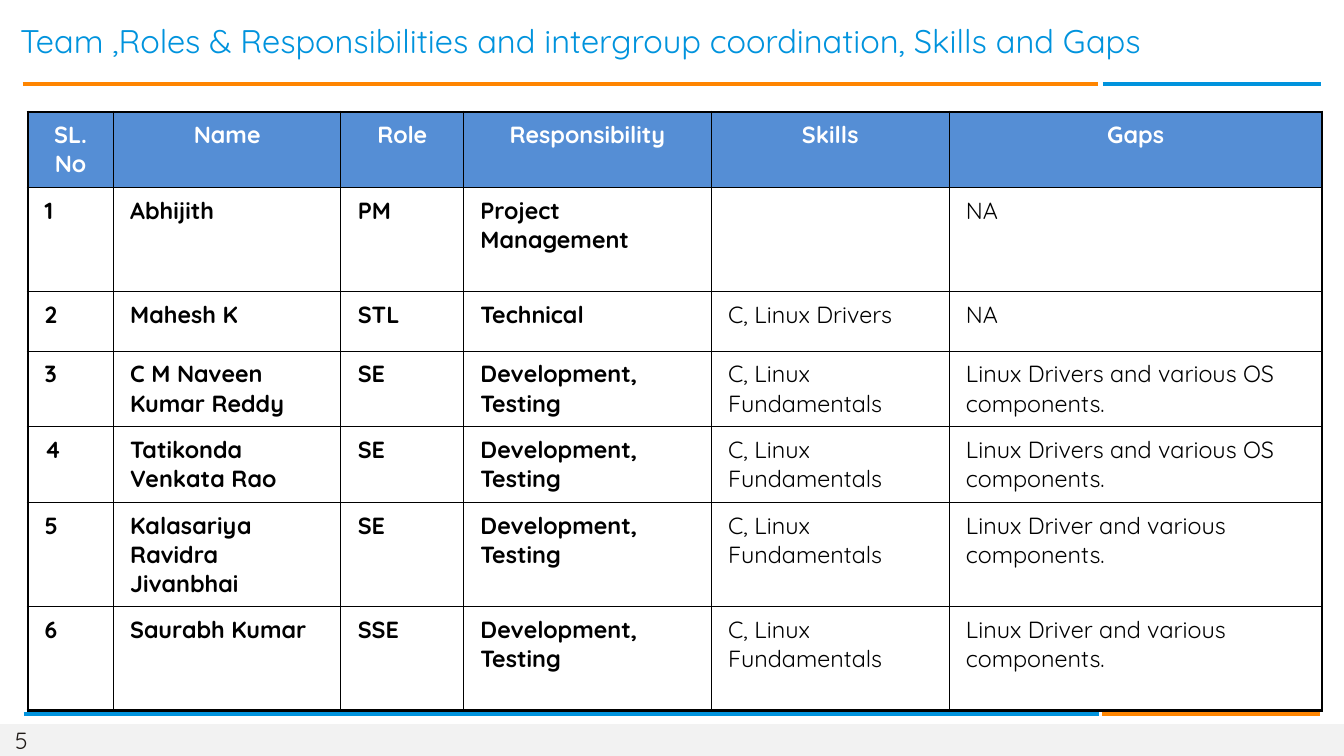
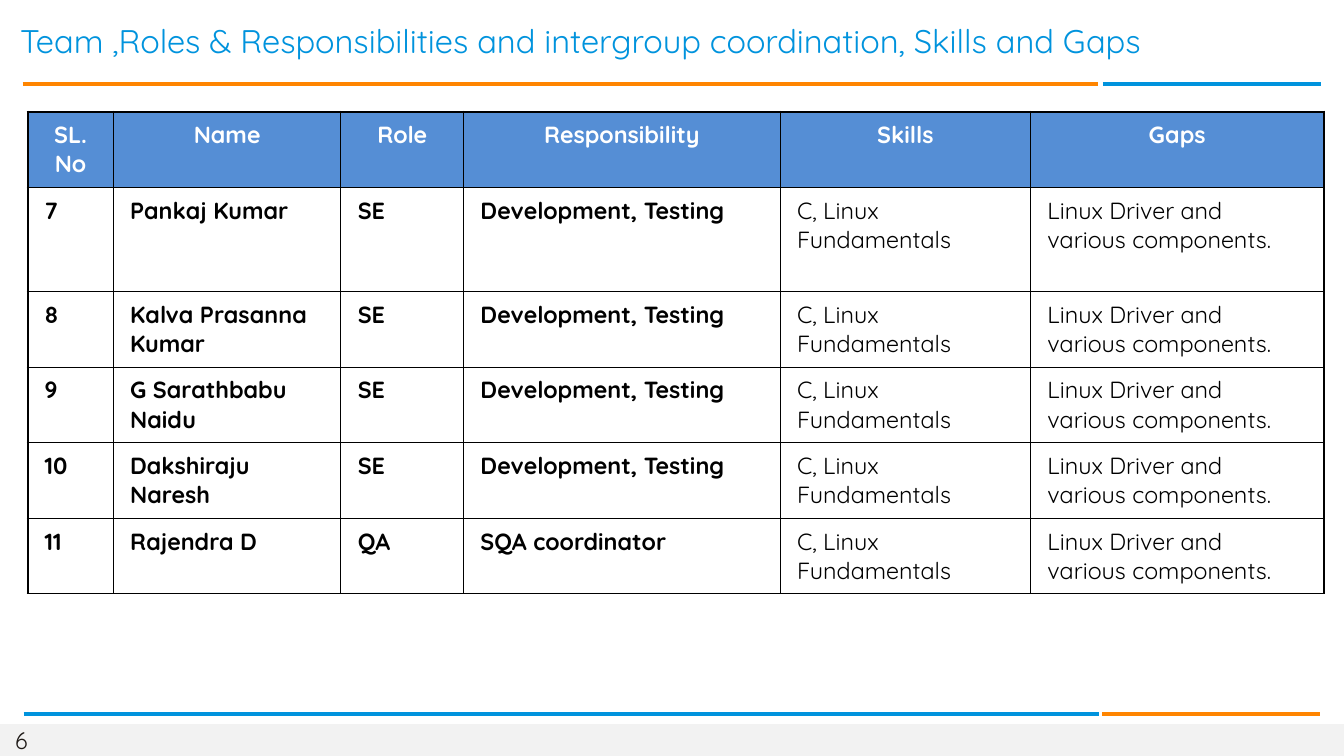
from dataclasses import dataclass

from lxml import etree
from pptx import Presentation
from pptx.dml.color import RGBColor
from pptx.enum.shapes import MSO_CONNECTOR, MSO_SHAPE
from pptx.enum.text import MSO_ANCHOR, PP_ALIGN
from pptx.oxml.ns import qn
from pptx.util import Inches, Pt

LINE = MSO_CONNECTOR.STRAIGHT
RECT = MSO_SHAPE.RECTANGLE
MIDDLE = MSO_ANCHOR.MIDDLE
LEFT, CENTER = PP_ALIGN.LEFT, PP_ALIGN.CENTER

# Shared style
FONT = "Quicksand"
BLUE, ORANGE, HEADER_BLUE = "0093DD", "FF8500", "558ED5"
BLACK, WHITE, INK, FOOTER_GREY = "000000", "FFFFFF", "1F1A17", "F2F2F2"
BODY_SIZE, TITLE_SIZE = 20, 28
THIN, THICK = 1, 2.25
TITLE = "Team ,Roles & Responsibilities and intergroup coordination, Skills and Gaps"
HEADERS = ("SL. No", "Name", "Role", "Responsibility", "Skills", "Gaps")
BOLD_COLUMNS = 4

# Row heights by the number of text lines
ONE_LINE, TWO_LINES, THREE_LINES = 0.71, 0.9, 1.24

# Repeated cell texts
DEV = "Development, Testing"
BASICS = "C, Linux Fundamentals"
OS_GAPS = "Linux Drivers and various OS components."
DRIVER_GAPS = "Linux Driver and various components."


@dataclass
class Rule:
    x1: float
    x2: float
    y: float
    color: str


@dataclass
class Member:
    name: str
    role: str
    responsibility: str
    skills: str
    gaps: str
    height: float = TWO_LINES


@dataclass
class TeamSlide:
    number: int
    first_no: int
    columns: tuple[float, ...]
    members: list[Member]
    bottom_border: float


RULES = (
    Rule(0.27, 13.07, 1, ORANGE),
    Rule(13.13, 15.73, 1, BLUE),
    Rule(0.28, 13.08, 8.5, BLUE),
    Rule(13.12, 15.72, 8.5, ORANGE),
)

SLIDES = (
    TeamSlide(5, 1, (1.02, 2.71, 1.46, 2.95, 2.83, 4.44), [
        Member("Abhijith", "PM", "Project Management", "", "NA", THREE_LINES),
        Member("Mahesh K", "STL", "Technical", "C, Linux Drivers", "NA", ONE_LINE),
        Member("C M Naveen Kumar Reddy", "SE", DEV, BASICS, OS_GAPS),
        Member("Tatikonda Venkata Rao", "SE", DEV, BASICS, OS_GAPS),
        Member("Kalasariya Ravidra Jivanbhai", "SE", DEV, BASICS, DRIVER_GAPS, THREE_LINES),
        Member("Saurabh Kumar", "SSE", DEV, BASICS, DRIVER_GAPS, THREE_LINES),
    ], THICK),
    TeamSlide(6, 7, (1.02, 2.71, 1.46, 3.77, 2.98, 3.49), [
        Member("Pankaj Kumar", "SE", DEV, BASICS, DRIVER_GAPS, THREE_LINES),
        Member("Kalva Prasanna Kumar", "SE", DEV, BASICS, DRIVER_GAPS),
        Member("G Sarathbabu Naidu", "SE", DEV, BASICS, DRIVER_GAPS),
        Member("Dakshiraju Naresh", "SE", DEV, BASICS, DRIVER_GAPS),
        Member("Rajendra D", "QA", "SQA coordinator", BASICS, DRIVER_GAPS),
    ], THIN),
)


def rgb(color: str) -> RGBColor:
    return RGBColor.from_string(color)


def add_run(p, text: str, size: float, color: str, bold: bool = False) -> None:
    r = p.add_run()
    r.text = text
    r.font.name = FONT
    r.font.size = Pt(size)
    r.font.bold = bold
    r.font.color.rgb = rgb(color)


def add_text(s, box: tuple[float, ...], text: str, size: float, color: str,
             inset_x: float = 0, inset_y: float = 0, wrap: bool = True) -> None:
    tf = s.shapes.add_textbox(*map(Inches, box)).text_frame
    tf.word_wrap = wrap
    tf.vertical_anchor = MIDDLE
    tf.margin_left = tf.margin_right = Inches(inset_x)
    tf.margin_top = tf.margin_bottom = Inches(inset_y)
    add_run(tf.paragraphs[0], text, size, color)


def add_rule(s, rule: Rule) -> None:
    y = Inches(rule.y)
    line = s.shapes.add_connector(LINE, Inches(rule.x1), y, Inches(rule.x2), y)
    line.line.color.rgb = rgb(rule.color)
    line.line.width = Pt(3)
    etree.SubElement(line.element.spPr, qn("a:effectLst"))


def add_frame(s, number: int) -> None:
    # Footer band and slide number
    band = s.shapes.add_shape(RECT, 0, Inches(8.62), Inches(16), Inches(0.38))
    band.shadow.inherit = False
    band.fill.solid()
    band.fill.fore_color.rgb = rgb(FOOTER_GREY)
    band.line.fill.background()
    add_text(s, (0.18, 8.64, 0.34, 0.34), str(number), BODY_SIZE, INK, wrap=False)

    # Two-colour rules and title
    for rule in RULES:
        add_rule(s, rule)
    add_text(s, (0.17, 0.13, 15.67, 0.7), TITLE, TITLE_SIZE, BLUE, 0.07, 0.04)


def set_borders(cell, widths: dict[str, float]) -> None:
    tc_pr = cell._tc.get_or_add_tcPr()
    for side, width in widths.items():
        ln = etree.SubElement(tc_pr, qn(f"a:ln{side}"), w=str(Pt(width)))
        fill = etree.SubElement(ln, qn("a:solidFill"))
        etree.SubElement(fill, qn("a:srgbClr"), val=BLACK)


def fill_cell(cell, text: str, header: bool, bold: bool) -> None:
    cell.margin_left = cell.margin_right = Inches(0.2)
    cell.margin_top = cell.margin_bottom = Inches(0.1)
    if header:
        cell.fill.solid()
        cell.fill.fore_color.rgb = rgb(HEADER_BLUE)
    else:
        cell.fill.background()
    p = cell.text_frame.paragraphs[0]
    p.alignment = CENTER if header else LEFT
    if text:
        add_run(p, text, BODY_SIZE, WHITE if header else BLACK, bold)


def add_team_table(s, team: TeamSlide) -> None:
    rows = [HEADERS] + [
        (str(no), m.name, m.role, m.responsibility, m.skills, m.gaps)
        for no, m in enumerate(team.members, team.first_no)
    ]
    heights = [TWO_LINES] + [m.height for m in team.members]
    table = s.shapes.add_table(
        len(rows), len(HEADERS), Inches(0.33), Inches(1.33),
        Inches(sum(team.columns)), Inches(sum(heights))).table
    table.first_row = table.horz_banding = False
    for column, width in zip(table.columns, team.columns):
        column.width = Inches(width)

    last_row, last_col = len(rows) - 1, len(HEADERS) - 1
    for i, (texts, height) in enumerate(zip(rows, heights)):
        table.rows[i].height = Inches(height)
        for j, text in enumerate(texts):
            cell = table.cell(i, j)
            set_borders(cell, {
                "L": THICK if j == 0 else THIN,
                "R": THICK if j == last_col else THIN,
                "T": THICK if i == 0 else THIN,
                "B": team.bottom_border if i == last_row else THIN,
            })
            fill_cell(cell, text, i == 0, i == 0 or j < BOLD_COLUMNS)


def main() -> None:
    prs = Presentation()
    prs.slide_width, prs.slide_height = Inches(16), Inches(9)
    for team in SLIDES:
        s = prs.slides.add_slide(prs.slide_layouts[6])
        add_frame(s, team.number)
        add_team_table(s, team)
    prs.save("out.pptx")


if __name__ == "__main__":
    main()
